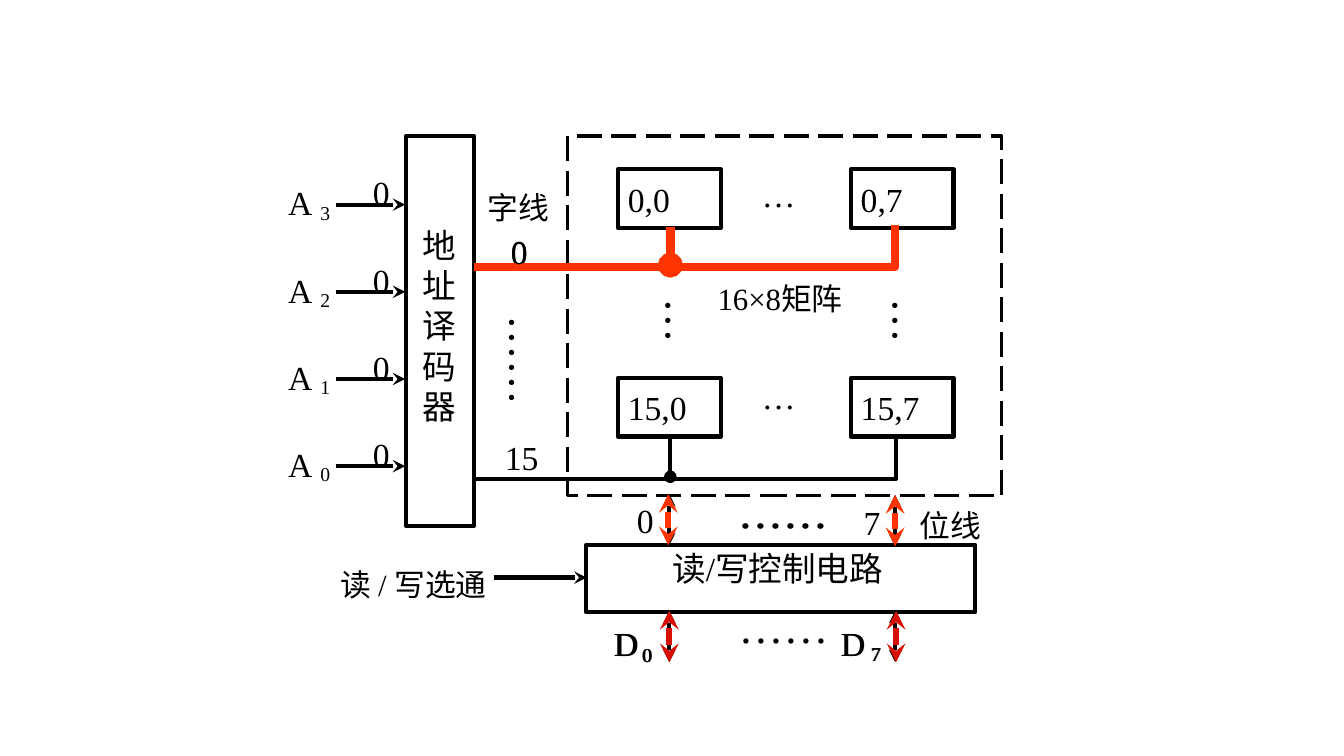
from dataclasses import dataclass

from lxml import etree
from pptx import Presentation
from pptx.dml.color import RGBColor
from pptx.enum.dml import MSO_LINE
from pptx.enum.shapes import MSO_CONNECTOR, MSO_SHAPE
from pptx.enum.text import MSO_ANCHOR, MSO_AUTO_SIZE, PP_ALIGN
from pptx.oxml.ns import qn
from pptx.util import Inches, Pt

STRAIGHT = MSO_CONNECTOR.STRAIGHT
RECTANGLE = MSO_SHAPE.RECTANGLE
LONG_DASH = MSO_LINE.LONG_DASH
GROW = MSO_AUTO_SIZE.SHAPE_TO_FIT_TEXT
LEFT, MIDDLE = PP_ALIGN.LEFT, MSO_ANCHOR.MIDDLE

# The slide is a grid of square cells, ten to the inch.
COLUMNS, ROWS = 133.33, 75
CELL = Inches(0.1)
FONT = "Times New Roman"
COLORS = {"ink": "000000", "word": "FF3300", "data": "D60F00"}


@dataclass(frozen=True)
class Label:
    text: str
    column: float
    row: float
    columns: float
    rows: float
    size: int = 24
    rotation: int = 0
    indent: float = 0


@dataclass(frozen=True)
class Box:
    column: float
    row: float
    columns: float
    rows: float
    text: str = ""
    width: float = 3
    dashed: bool = False


@dataclass(frozen=True)
class Wire:
    start: tuple[float, float]
    end: tuple[float, float]
    head: str = ""
    tail: str = ""
    color: str = "ink"
    width: float = 3


@dataclass(frozen=True)
class WordLine:
    """A line that leaves the decoder and turns up into the last cell."""
    column: float
    row: float
    color: str = "ink"
    width: float = 3


def cells(count: float) -> int:
    return round(count * CELL)


def style_line(line, color: str, width: float) -> None:
    line.color.rgb = RGBColor.from_string(COLORS[color])
    line.width = Pt(width)


def write_text(shape, text: str, size: int, indent: float = 0) -> None:
    frame = shape.text_frame
    frame.word_wrap = True
    frame.margin_right = 0
    frame.text = text
    for paragraph in frame.paragraphs:
        paragraph.alignment = LEFT
        if indent:
            paragraph._p.get_or_add_pPr().set("indent", str(cells(indent)))
        paragraph.font.name = FONT
        paragraph.font.size = Pt(size)
        paragraph.font.color.rgb = RGBColor.from_string(COLORS["ink"])


def draw_label(slide, label: Label) -> None:
    shape = slide.shapes.add_textbox(*map(cells, (label.column, label.row, label.columns, label.rows)))
    write_text(shape, label.text, label.size, label.indent)
    shape.text_frame.auto_size = GROW
    shape.rotation = label.rotation


def draw_box(slide, box: Box) -> None:
    shape = slide.shapes.add_shape(RECTANGLE, *map(cells, (box.column, box.row, box.columns, box.rows)))
    shape.shadow.inherit = False
    shape.fill.background()
    style_line(shape.line, "ink", box.width)
    if box.dashed:
        shape.line.dash_style = LONG_DASH
    if box.text:
        write_text(shape, box.text, 24)
        shape.text_frame.vertical_anchor = MIDDLE


def draw_wire(slide, wire: Wire) -> None:
    connector = slide.shapes.add_connector(STRAIGHT, *map(cells, wire.start + wire.end))
    style_line(connector.line, wire.color, wire.width)
    outline = connector.line._get_or_add_ln()
    for tag, kind in (("a:headEnd", wire.head), ("a:tailEnd", wire.tail)):
        if kind:
            etree.SubElement(outline, qn(tag)).set("type", kind)
    etree.SubElement(connector._element.spPr, qn("a:effectLst"))


def draw_word_line(slide, word_line: WordLine) -> None:
    left, bottom = word_line.column, word_line.row
    right, top = left + 41.8, bottom - 4.2
    builder = slide.shapes.build_freeform(cells(left), cells(bottom))
    builder.add_line_segments([(cells(right), cells(bottom)), (cells(right), cells(top))], close=False)
    shape = builder.convert_to_shape()
    shape.shadow.inherit = False
    shape.fill.background()
    style_line(shape.line, word_line.color, word_line.width)


def double_arrow(column: float, row: float, color: str = "ink", width: float = 3) -> Wire:
    return Wire((column, row), (column, row + 5.1), "stealth", "stealth", color, width)


def data_labels(shift: float) -> list[Label]:
    return [
        Label("D", 59.9 + shift, 61.3, 4.4, 5),
        Label("0", 62.7 + shift, 63.3, 3, 3.3, 14),
        Label("7", 85.4 + shift, 63.2, 3, 3.3, 14),
        Label("D", 82.4 + shift, 61.3, 4.4, 5),
    ]


def address_input(index: int) -> list[Label | Wire]:
    offset = 8.65 * index
    return [
        Wire((33.3, 20.3 + offset), (40.2, 20.3 + offset), tail="stealth"),
        Label("A", 27.6, 17.6 + offset, 4.4, 5),
        Label(str(3 - index), 30.8, 19.4 + offset, 3, 3.3, 14),
        Label("0", 36, 16.6 + offset, 3.7, 5),
    ]


def dots(column: float, row: float, rotation: int = 0) -> Label:
    return Label("……", column, row, 10.9, 6.3, 32, rotation)


MEMORY_CELLS = [
    Box(column, row, 10.2, 5.8, f"{word},{bit}")
    for word, row in ((0, 16.8), (15, 37.5))
    for bit, column in ((0, 61.3), (7, 84.4))
]

DIAGRAM = [
    *MEMORY_CELLS,
    Box(58.15, 54.05, 38.6, 6.7),
    Label("读/写控制电路", 65.7, 53.9, 26.4, 5),
    Box(40.3, 13.5, 6.7, 38.7),
    Box(56.3, 13.5, 43.1, 35.7, width=2.25, dashed=True),
    Label("地\n址\n译\n码\n器", 40.9, 21.8, 5.4, 21.2),
    WordLine(47, 26.6),
    Wire((66.5, 22.6), (66.5, 26.5), tail="oval"),
    WordLine(47.1, 47.5),
    Wire((66.5, 43.5), (66.5, 47.3), tail="oval"),
    Label("字线", 46.6, 18.2, 9, 5, 22, indent=0.83),
    Label("0", 49.7, 22.5, 3.7, 5),
    Label("15", 49.1, 42.9, 5.3, 5),
    double_arrow(66.4, 49),
    double_arrow(88.8, 49.1),
    dots(72.3, 47.5),
    dots(46.9, 32.6, 90),
    double_arrow(66.4, 60.6),
    double_arrow(88.8, 60.6),
    Label("16×8矩阵", 70.2, 27.3, 15.8, 4.7, 22),
    *(Label("…", column, 28.7, 6.5, 6.3, 32, 90) for column in (64.6, 87.1)),
    *data_labels(0),
    Label("位线", 89.5, 49.8, 8.9, 4.7, 22, indent=0.76),
    Wire((49, 57.3), (58.2, 57.3), tail="stealth"),
    Label("读 / 写选通", 30.5, 55.6, 18, 4.7, 22, indent=2.3),
    *(Label("…", 74.6, row, 5.3, 5) for row in (16.8, 36.8)),
    *(part for index in range(4) for part in address_input(index)),
    WordLine(47, 26.5, "word", 6),
    Wire((66.5, 22.5), (66.5, 26.3), tail="oval", color="word", width=6),
    Label("0", 49.7, 22.4, 3.7, 5),
    double_arrow(66.3, 49, "word", 4.5),
    double_arrow(88.8, 49.1, "word", 4.5),
    dots(72.2, 47.5),
    Label("0", 62.2, 49.1, 3.7, 5),
    Label("7", 84.7, 49.3, 3.7, 5),
    double_arrow(66.4, 60.6, "data", 4.5),
    double_arrow(88.9, 60.6, "data", 4.5),
    dots(72.3, 58.9),
    *data_labels(0.1),
]

DRAW = {Label: draw_label, Box: draw_box, Wire: draw_wire, WordLine: draw_word_line}


def main() -> None:
    presentation = Presentation()
    presentation.slide_width = cells(COLUMNS)
    presentation.slide_height = cells(ROWS)
    slide = presentation.slides.add_slide(presentation.slide_layouts[6])
    for part in DIAGRAM:
        DRAW[type(part)](slide, part)
    presentation.save("out.pptx")


if __name__ == "__main__":
    main()
